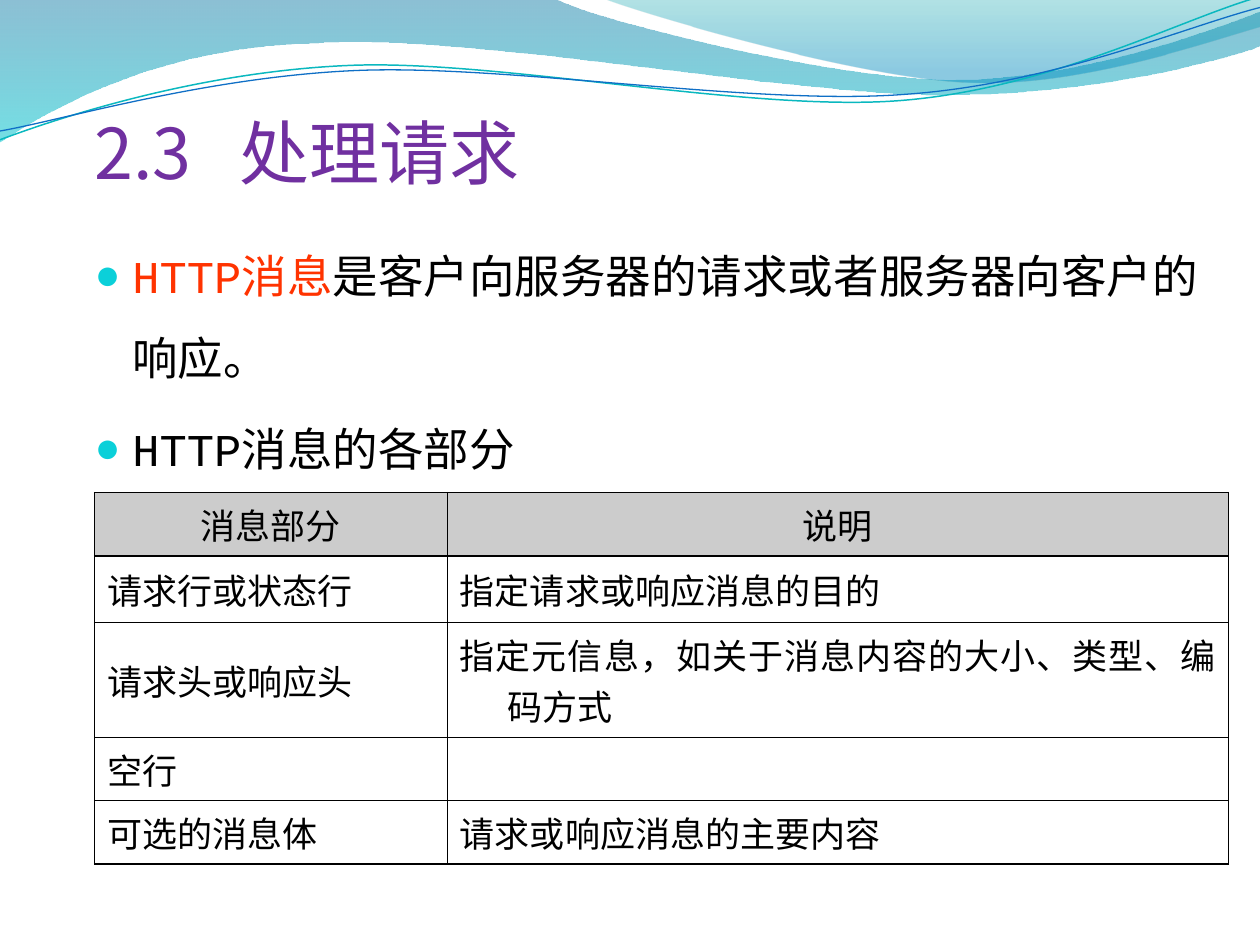
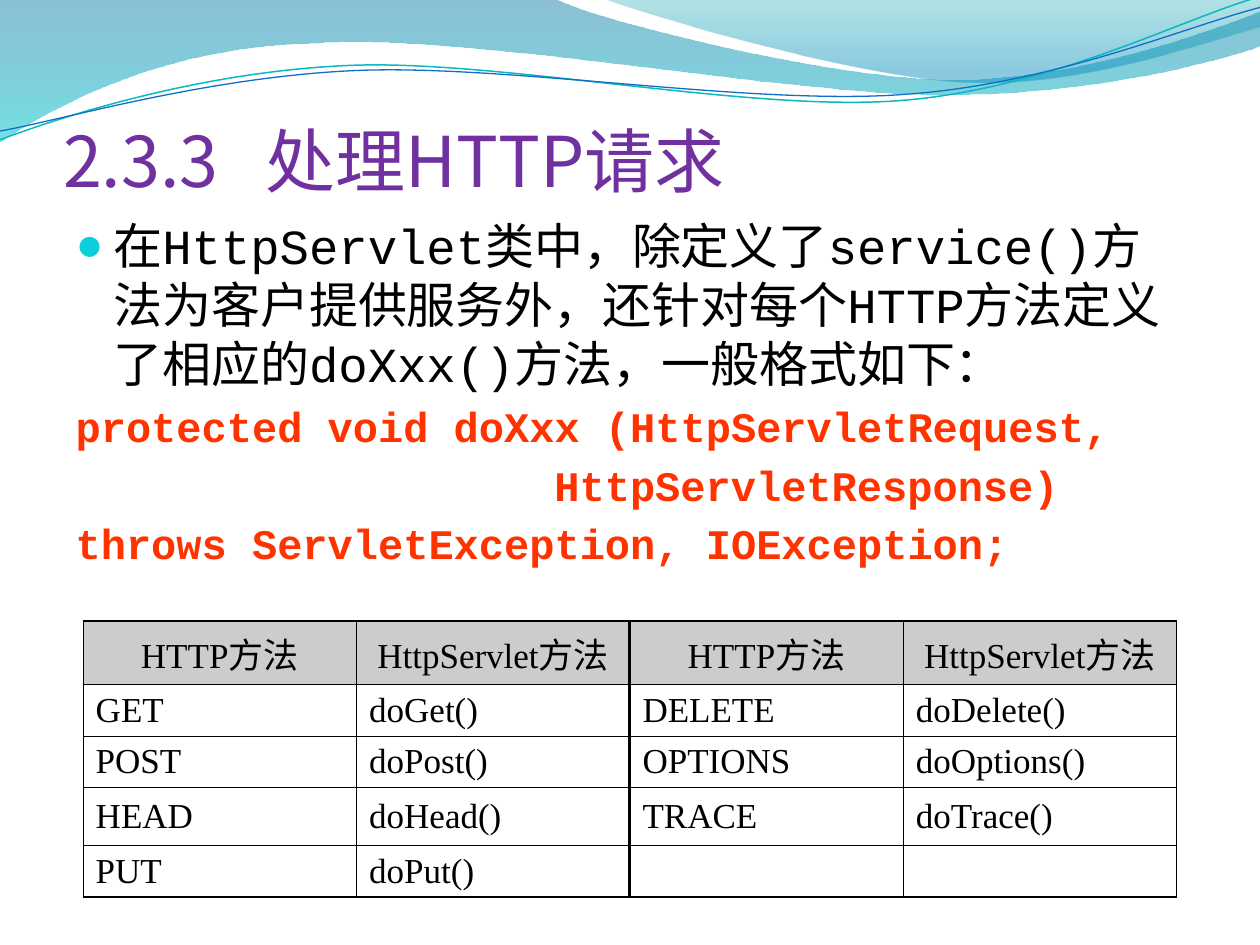
import math

import lxml.etree as etree
import pptx
import pptx.dml.color
import pptx.enum.text
import pptx.oxml.ns
import pptx.util

Inches, Pt = pptx.util.Inches, pptx.util.Pt
qn = pptx.oxml.ns.qn
ALIGN = pptx.enum.text.PP_ALIGN
ANCHOR = pptx.enum.text.MSO_ANCHOR

SANS, MONO, SERIF = "Noto Sans CJK SC", "Courier New", "Times New Roman"
BLACK, PURPLE, RED, GREY = "000000", "7030A0", "FF3300", "CCCCCC"
TEAL, BLUE, BULLET = "0AB8BF", "0F6FC6", "0BD0D9"
TILT = 2.7

# Each wave is a start point, then lines (2 numbers) and Bezier curves (6 numbers).
WIDE_BAND = [
    (0, 0), (4.4, -0.01), (4.76, 0.17, 6.64, 0.63, 7.58, 0.63),
    (8.53, 0.63, 9.58, 0.26, 10, 0.09), (10.01, 0.36),
    (9.83, 0.44, 8.7, 0.76, 7.46, 0.75), (6.22, 0.75, 3.82, 0.28, 2.57, 0.34),
    (1.29, 0.36, 0.46, 0.83, -0.01, 1.13)]
RIGHT_BAND = [
    (4.79, -0.01), (5.09, 0.11, 6.82, 0.62, 7.69, 0.65),
    (8.56, 0.69, 9.61, 0.32, 10, 0.21), (10, 0)]
TEAL_LINE = [
    (0, 1.11), (0.48, 0.93, 1.58, 0.57, 2.77, 0.52),
    (3.95, 0.47, 5.93, 0.89, 7.13, 0.8), (8.33, 0.71, 9.38, 0.15, 9.98, -0.02)]
BLUE_LINE = [
    (0, 1.04), (0.47, 0.96, 1.64, 0.61, 2.83, 0.56),
    (4.03, 0.51, 5.97, 0.84, 7.17, 0.75), (8.36, 0.67, 9.41, 0.21, 10, 0.06)]


def rgb(value):
    """Turn a hex string into a colour."""
    return pptx.dml.color.RGBColor.from_string(value)


def child(parent, tag, **attrs):
    """Append a drawing element with the given attributes."""
    return etree.SubElement(parent, qn(tag), {k: str(v) for k, v in attrs.items()})


def add_text(p, text, size=20, font=SANS, color=BLACK, bold=False):
    """Add one formatted run to a paragraph."""
    r = p.add_run()
    r.text = text
    r.font.size, r.font.name, r.font.bold = Pt(size), font, bold
    r.font.color.rgb = rgb(color)
    child(r.font._element, "a:ea", typeface=SANS)


def indent(p, left, first):
    """Set the left margin and first-line indent; return the properties."""
    pPr = p._p.get_or_add_pPr()
    pPr.set("marL", str(Inches(left)))
    pPr.set("indent", str(Inches(first)))
    return pPr


def turn(x, y, degrees, cx=5, cy=0.58):
    """Turn a point clockwise about the middle of the waves."""
    cos, sin = math.cos(math.radians(degrees)), math.sin(math.radians(degrees))
    dx, dy = x - cx, y - cy
    return cx + dx * cos - dy * sin, cy + dx * sin + dy * cos


class Deck:
    """Holds the presentation, its shared style and the current slide."""

    def __init__(self):
        """Start a 4:3 presentation."""
        self.prs = pptx.Presentation()
        self.prs.slide_width, self.prs.slide_height = Inches(10), Inches(7.5)
        self.layout = self.prs.slide_layouts[1]
        self.s = None

    def slide(self):
        """Start a new slide, drawing the layout's waves with the first one."""
        first = self.s is None
        self.s = self.prs.slides.add_slide(self.layout)
        if first:
            waves = [self.band(WIDE_BAND, (0, "0074A1", 45), (1, "00C6CF", 55)),
                     self.band(RIGHT_BAND, (0, "00A1A9", 30), (0.8, "008BBF", 45)),
                     self.curve(TEAL_LINE, TEAL, 0.85),
                     self.curve(BLUE_LINE, BLUE, 0.75)]
            for i, sp in enumerate(waves):
                self.layout.shapes.element.insert(2 + i, sp._element)

    def outline(self, wave, close, tilt=0):
        """Build a freeform, joining each three control points into a curve."""
        flat = [n for part in wave for n in part]
        points = [tuple(map(Inches, turn(x, y, tilt)))
                  for x, y in zip(flat[::2], flat[1::2])]
        builder = self.s.shapes.build_freeform(*points[0])
        builder.add_line_segments(points[1:], close=close)
        sp = builder.convert_to_shape()
        sp.shadow.inherit = False
        sp.rotation = -tilt
        lines = iter(list(sp._element.iter(qn("a:lnTo"))))
        for part in wave[1:]:
            start = next(lines)
            if len(part) == 6:
                start.tag = qn("a:cubicBezTo")
                for line in (next(lines), next(lines)):
                    start.append(line[0])
                    line.getparent().remove(line)
        return sp

    def band(self, wave, *stops):
        """Draw a band with a downward gradient of (position, colour, opacity)."""
        sp = self.outline(wave, True)
        sp.line.fill.background()
        sp.fill.gradient()
        sp.fill.gradient_angle = 270
        for stop, (position, color, _) in zip(sp.fill.gradient_stops, stops):
            stop.position = position
            stop.color.rgb = rgb(color)
        for clr, (_, _, opacity) in zip(sp._element.iter(qn("a:srgbClr")), stops):
            child(clr, "a:alpha", val=opacity * 1000)
        return sp

    def curve(self, wave, color, width):
        """Draw a thin open curve, tilted as a shape."""
        sp = self.outline(wave, False, TILT)
        sp.fill.background()
        sp.line.color.rgb = rgb(color)
        sp.line.width = Pt(width)
        return sp

    def place(self, sp, left, top, width, height):
        """Move a placeholder and return its text frame."""
        sp.left, sp.top, sp.width, sp.height = map(Inches, (left, top, width, height))
        tf = sp.text_frame
        tf.word_wrap = True
        tf.auto_size = pptx.enum.text.MSO_AUTO_SIZE.NONE
        return tf

    def title(self, number, text, left, top, tab):
        """Fill the title: a number, then its text at a tab stop."""
        tf = self.place(self.s.shapes.title, left, top, 9, 0.93)
        tf.margin_left = tf.margin_right = tf.margin_bottom = 0
        tf.margin_top = Inches(0.05)
        tf.vertical_anchor = ANCHOR.BOTTOM
        p = tf.paragraphs[0]
        p.alignment = ALIGN.LEFT
        tabs = child(p._p.get_or_add_pPr(), "a:tabLst")
        child(tabs, "a:tab", pos=Inches(tab), algn="l")
        add_text(p, number + "\t" + text, size=40, color=PURPLE)

    def body(self, left, top, height):
        """Place the body placeholder and keep it for the paragraphs."""
        self.tf = self.place(self.s.placeholders[1], left, top, 9, height)
        self.tf.vertical_anchor = ANCHOR.TOP

    def paragraph(self):
        """Return the next free body paragraph."""
        p = self.tf.paragraphs[0]
        return self.tf.add_paragraph() if p.runs else p

    def bullet(self, *runs, size, spacing=1.0):
        """Add a bulleted paragraph from (text, colour) runs."""
        p = self.paragraph()
        p.line_spacing = spacing
        pPr = indent(p, 0.3, -0.3)
        child(child(pPr, "a:buClr"), "a:srgbClr", val=BULLET)
        child(pPr, "a:buSzPct", val=95000)
        child(pPr, "a:buChar", char="●")
        for text, color in runs:
            add_text(p, text, size=size, font=MONO, color=color)

    def code(self, text, left=0.3, first=-0.3):
        """Add a line of code without a bullet."""
        p = self.paragraph()
        child(indent(p, left, first), "a:buNone")
        add_text(p, text, size=24, font=MONO, color=RED, bold=True)

    def table(self, left, top, widths, heights, rows, head_font=SERIF, divider=None):
        """Add a ruled table; divider is the column before a heavy rule."""
        frame = self.s.shapes.add_table(len(rows), len(widths), Inches(left), Inches(top),
                                        Inches(sum(widths)), Inches(sum(heights)))
        tbl = frame.table
        tbl.first_row = tbl.horz_banding = False
        for column, width in zip(tbl.columns, widths):
            column.width = Inches(width)
        for row, height in zip(tbl.rows, heights):
            row.height = Inches(height)
        strong = (0, 1, len(rows))
        for i, row in enumerate(rows):
            for j, text in enumerate(row):
                cell = tbl.cell(i, j)
                self.cell(cell, text, i == 0, head_font)
                self.borders(cell,
                             L=2 if j - 1 == divider else 0.75,
                             R=2 if j == divider else 0.75,
                             T=1 if i in strong else 0.75,
                             B=1 if i + 1 in strong else 0.75)

    def cell(self, cell, text, head, head_font):
        """Fill one table cell."""
        cell.vertical_anchor = ANCHOR.MIDDLE
        if head:
            cell.fill.solid()
            cell.fill.fore_color.rgb = rgb(GREY)
        else:
            cell.fill.background()
        if text:
            p = cell.text_frame.paragraphs[0]
            p.alignment = ALIGN.CENTER if head else ALIGN.JUSTIFY
            indent(p, 0.38, -0.38)
            add_text(p, text, font=head_font if head else SERIF)

    def borders(self, cell, **widths):
        """Rule the sides of a cell, given L, R, T, B widths in points."""
        tcPr = cell._tc.get_or_add_tcPr()
        for i, (side, width) in enumerate(widths.items()):
            ln = child(tcPr, "a:ln" + side, w=Pt(width))
            child(child(ln, "a:solidFill"), "a:srgbClr", val=BLACK)
            tcPr.insert(i, ln)


def message_slide(deck):
    """Build the slide on the parts of an HTTP message."""
    deck.slide()
    deck.title("2.3", "处理请求", 0.75, 0.61, tab=1.15)
    deck.body(0.65, 1.7, 4.95)
    deck.bullet(("HTTP消息", RED), ("是客户向服务器的请求或者服务器向客户的响应。", BLACK),
                size=26, spacing=1.5)
    deck.bullet(("HTTP消息的各部分", BLACK), size=26, spacing=1.5)
    deck.table(0.75, 3.91, [2.8, 6.2], [0.49, 0.53, 0.77, 0.47, 0.49], [
        ("消息部分", "说明"),
        ("请求行或状态行", "指定请求或响应消息的目的"),
        ("请求头或响应头", "指定元信息，如关于消息内容的大小、类型、编码方式"),
        ("空行", ""),
        ("可选的消息体", "请求或响应消息的主要内容")], head_font=SANS)


def method_slide(deck):
    """Build the slide on the doXxx() methods."""
    deck.slide()
    deck.title("2.3.3", "处理HTTP请求", 0.5, 0.67, tab=1.61)
    deck.body(0.5, 1.66, 5.47)
    deck.bullet(("在HttpServlet类中，除定义了service()方法为客户提供服务外，"
                 "还针对每个HTTP方法定义了相应的doXxx()方法，一般格式如下：", BLACK), size=28)
    deck.code("protected void doXxx (HttpServletRequest,")
    deck.code("HttpServletResponse)", left=3.8, first=0)
    deck.code("throws ServletException, IOException;")
    deck.table(0.66, 4.93, [2.17] * 4, [0.4, 0.4, 0.4, 0.46, 0.4], [
        ("HTTP方法", "HttpServlet方法") * 2,
        ("GET", "doGet()", "DELETE", "doDelete()"),
        ("POST", "doPost()", "OPTIONS", "doOptions()"),
        ("HEAD", "doHead()", "TRACE", "doTrace()"),
        ("PUT", "doPut()", "", "")], divider=1)


deck = Deck()
message_slide(deck)
method_slide(deck)
deck.prs.save("out.pptx")
